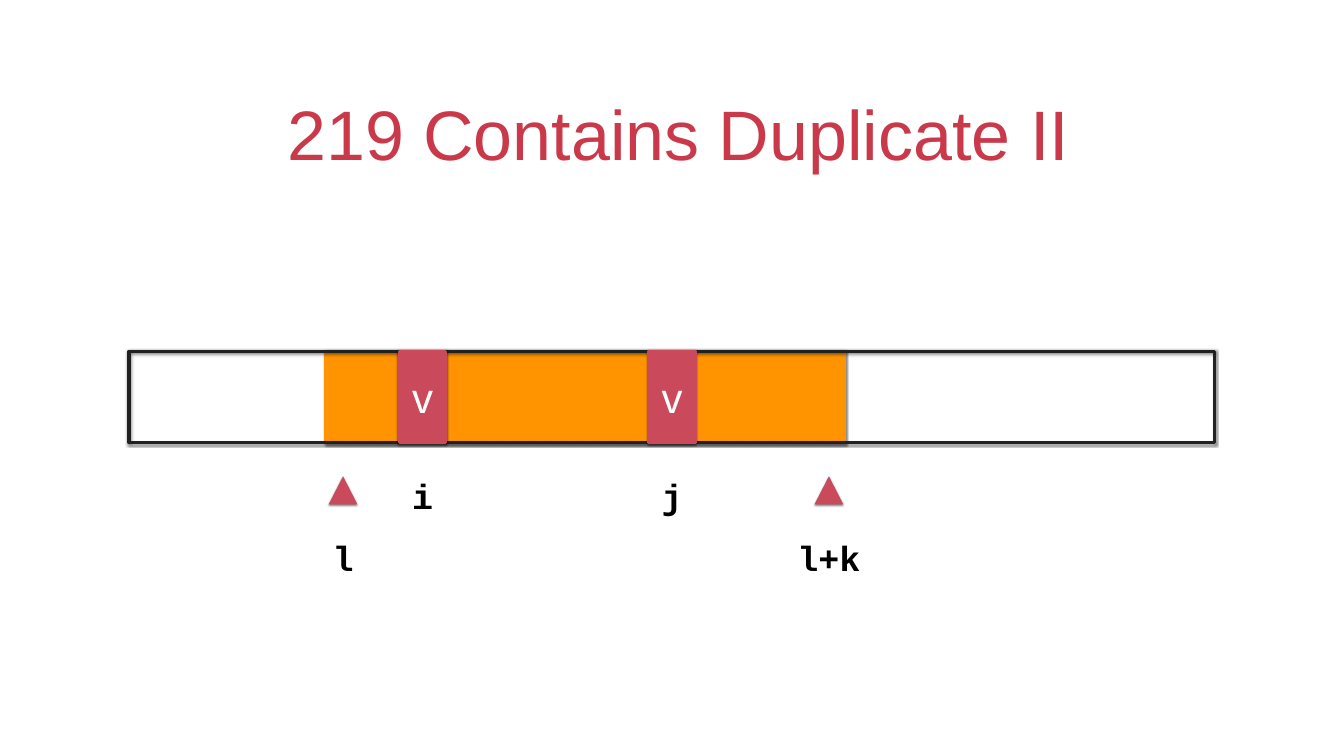
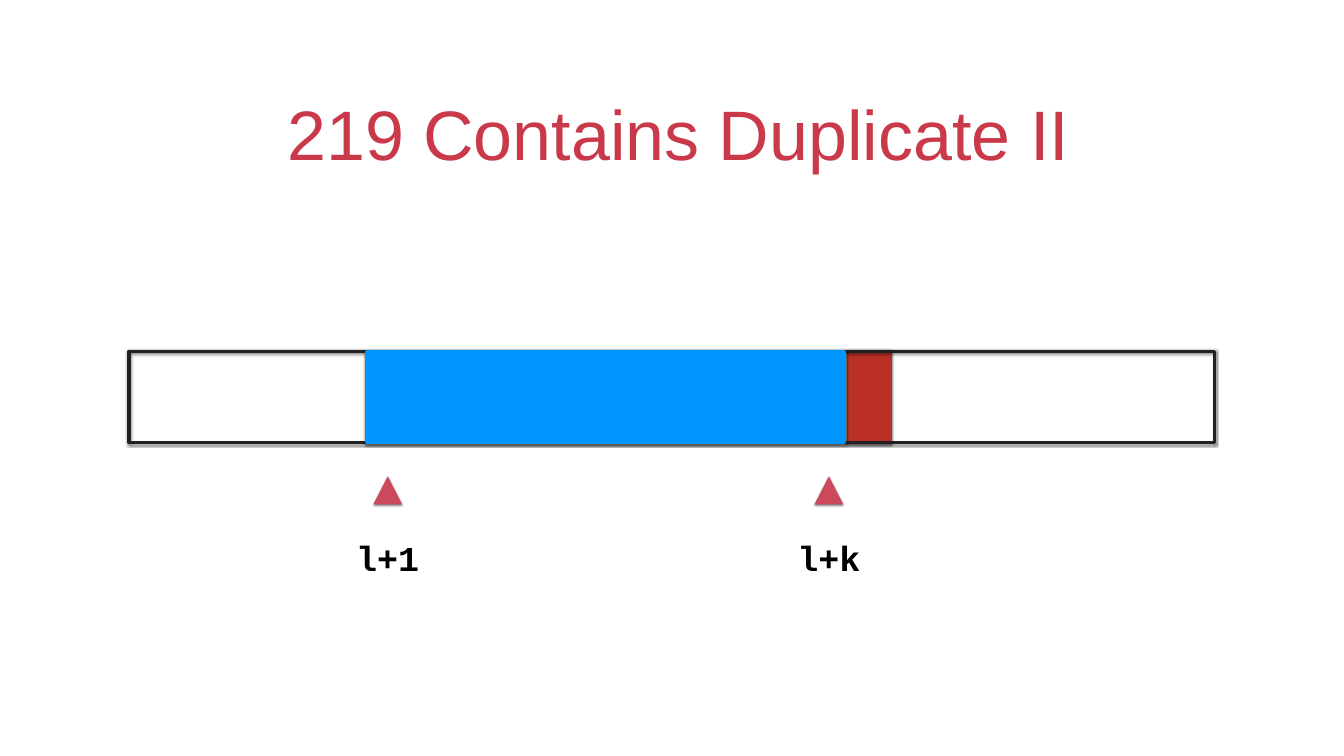
from lxml.etree import SubElement as Sub
from pptx import Presentation
from pptx.dml.color import RGBColor
from pptx.enum.shapes import MSO_SHAPE as Kind
from pptx.enum.text import MSO_ANCHOR as Anchor, MSO_AUTO_SIZE as Fit, PP_ALIGN as Align
from pptx.oxml.ns import qn
from pptx.util import Inches, Pt

CELL = Inches(1) // 3
COLS, ROWS = 80, 45
ROSE, INK, WHITE, BLACK = "CA495A", "212121", "FFFFFF", "000000"
TITLE, AMBER, BLUE, RED = "C9394A", "FF9300", "0096FF", "BA3027"
SANS, MONO = "Arial", "Courier New"
TOP, HIGH = 20.91, 5.43
LEFT, WIDE = 7.68, 64.62
SLOT = 2.73


def grid(*nums):
    return [round(n * CELL) for n in nums]


def color(code):
    return RGBColor.from_string(code)


def write(shape, text, size=50, font=SANS, tint=BLACK, bold=False,
          anchor=Anchor.MIDDLE, wrap=True, fit=Fit.NONE):
    frame = shape.text_frame
    frame.margin_left = frame.margin_right = Inches(0.06)
    frame.margin_top = frame.margin_bottom = Inches(0.06)
    frame.vertical_anchor = anchor
    frame.word_wrap = wrap
    frame.auto_size = fit
    para = frame.paragraphs[0]
    para.alignment = Align.CENTER
    run = para.add_run()
    run.text = text
    run.font.size = Pt(size)
    run.font.name = font
    run.font.bold = bold
    run.font.color.rgb = color(tint)
    return para


class Deck:
    def __init__(self):
        self.show = Presentation()
        self.show.slide_width, self.show.slide_height = grid(COLS, ROWS)
        self.slide = None

    def page(self, text):
        self.slide = self.show.slides.add_slide(self.show.slide_layouts[0])
        fill = self.slide.background.fill
        fill.solid()
        fill.fore_color.rgb = color(WHITE)
        sub = self.slide.placeholders[1].element
        sub.getparent().remove(sub)
        head = self.slide.shapes.title
        head.left, head.top, head.width, head.height = grid(5.82, 3.9, 68.34, 6.66)
        para = write(head, text, size=100, tint=TITLE, anchor=Anchor.BOTTOM)
        props = para._p.get_or_add_pPr()
        props.set("marL", "0")
        props.set("indent", str(Inches(0.25)))

    def paint(self, shape, fill=None, line=None):
        if fill:
            shape.fill.solid()
            shape.fill.fore_color.rgb = color(fill)
        else:
            shape.fill.background()
        if line:
            shape.line.color.rgb = color(line)
            shape.line.width = Pt(5)
        else:
            shape.line.fill.background()
        shape.shadow.inherit = False
        list_ = shape._element.spPr.find(qn("a:effectLst"))
        cast = Sub(list_, qn("a:outerShdw"), blurRad=str(Pt(3)), dist=str(Pt(2)),
                   dir="5400000", rotWithShape="0")
        tone = Sub(cast, qn("a:srgbClr"), val=BLACK)
        Sub(tone, qn("a:alpha"), val="50000")

    def band(self, left, wide, fill=None, line=None):
        box = self.slide.shapes.add_shape(Kind.RECTANGLE, *grid(left, TOP, wide, HIGH))
        self.paint(box, fill, line or fill)
        return box

    def array(self):
        self.band(LEFT, WIDE, line=INK)

    def label(self, text, mid, top, shapes=None):
        wide = 0.36 + 1.26 * len(text)
        box = (shapes or self.slide.shapes).add_textbox(
            *grid(mid - wide / 2, top, wide, 2.76))
        write(box, text, font=MONO, bold=True, wrap=False, fit=Fit.SHAPE_TO_FIT_TEXT)

    def item(self, name, mid):
        box = self.band(mid - SLOT / 2, SLOT, ROSE)
        write(box, "v", size=60, tint=WHITE)
        self.label(name, mid, 28.11)

    def mark(self, name, mid):
        shapes = self.slide.shapes.add_group_shape().shapes
        half, top, base = 0.86, 28.35, 30.03
        pen = shapes.build_freeform(*grid(mid, top))
        pen.add_line_segments([grid(mid + half, base), grid(mid - half, base)], close=True)
        self.paint(pen.convert_to_shape(), ROSE)
        self.label(name, mid, 31.83, shapes)


def main():
    deck = Deck()
    head = "219 Contains Duplicate II"
    end = ("l+k", 49.34)

    deck.page(head)
    deck.band(19.41, 30.87, AMBER)
    deck.array()
    for name, mid in (("i", 25.16), ("j", 40.01)):
        deck.item(name, mid)
    for name, mid in (("l", 20.42), end):
        deck.mark(name, mid)

    deck.page(head)
    deck.band(50.52, 2.49, RED)
    deck.array()
    for name, mid in (("l+1", 23.08), end):
        deck.mark(name, mid)
    deck.band(21.81, 28.47, BLUE)

    deck.show.save("out.pptx")


if __name__ == "__main__":
    main()
